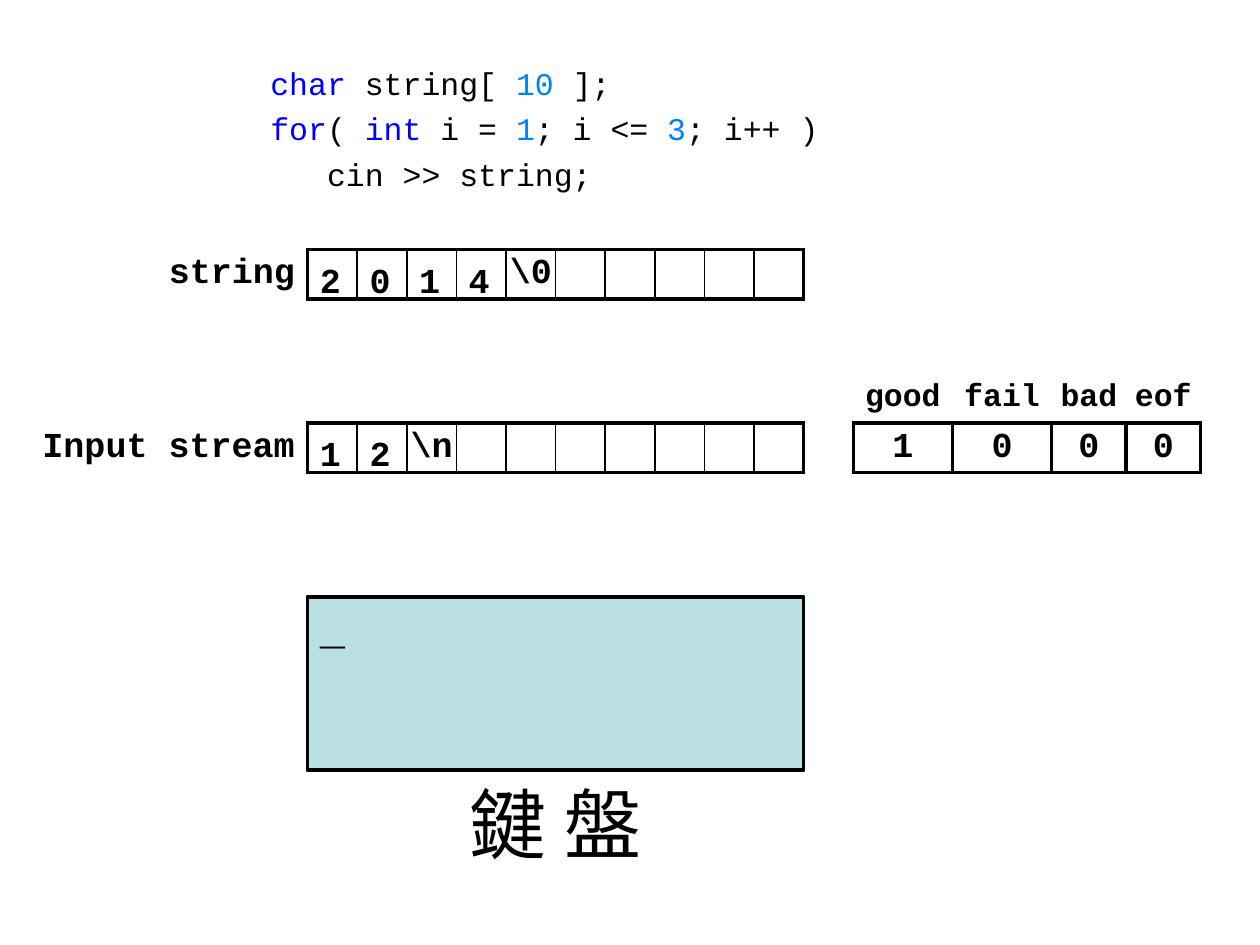
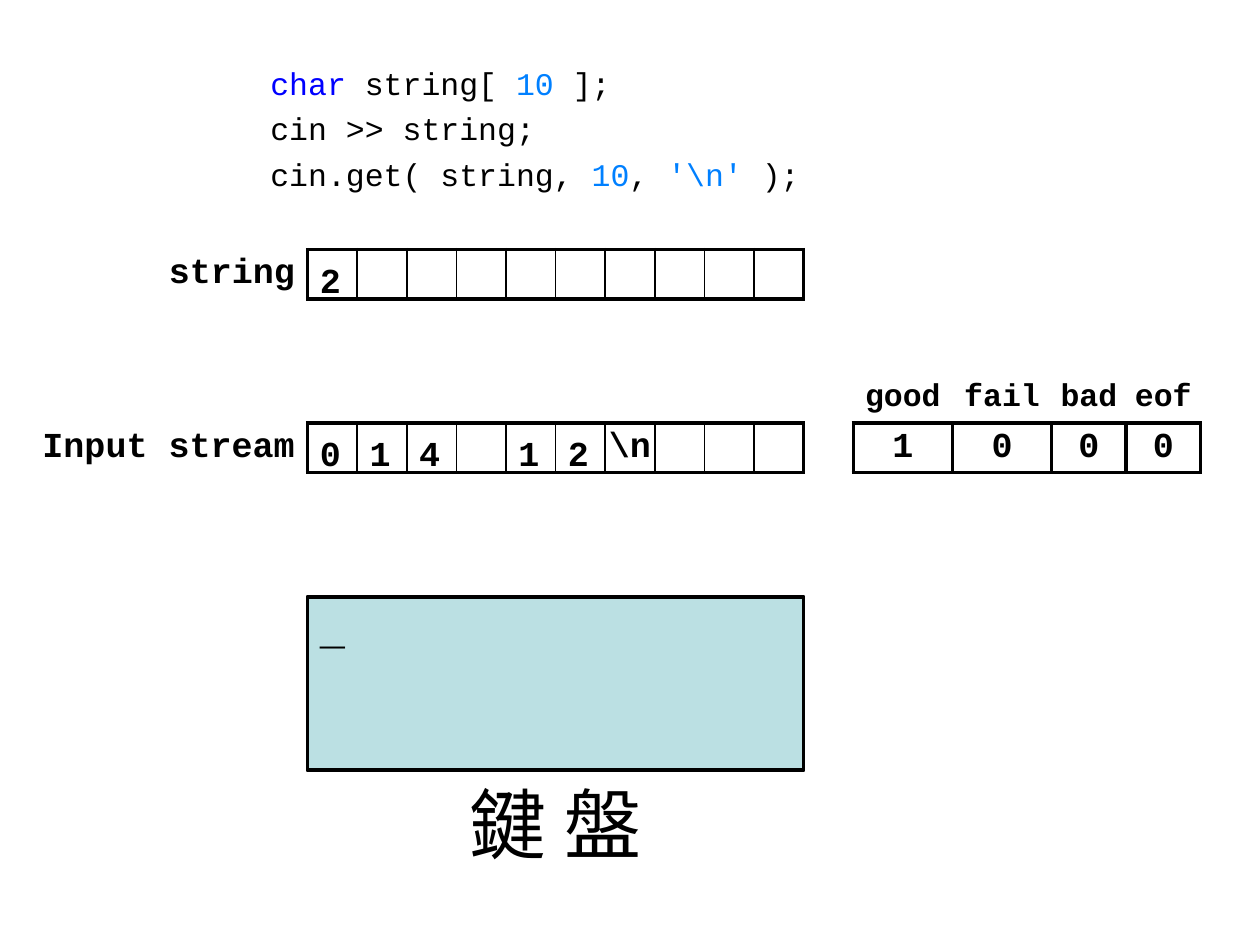
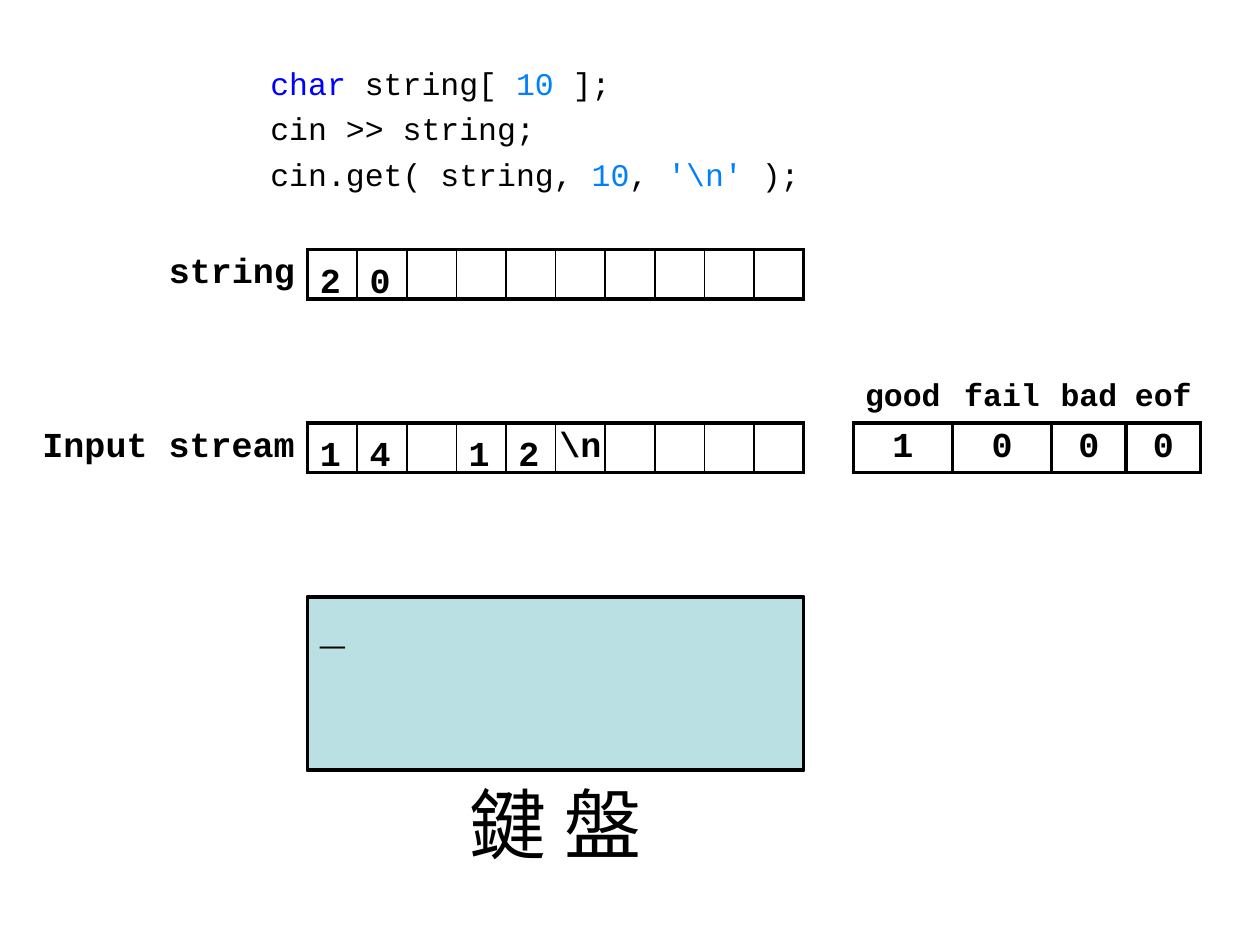
"""Build three slides that trace a string, its input stream and the keyboard."""
from lxml import etree
from pptx import Presentation, util as u
from pptx.dml.color import RGBColor
from pptx.enum import shapes, text
from pptx.oxml.ns import qn

COLORS = {"ink": "000000", "keyword": "0000FF", "literal": "0080FF", "screen": "BBE0E3"}
MONO, CJK = "Courier New", "Noto Sans CJK SC"
THICK, THIN = 2.25, 1
LEFT, TOP = 6.2, 0.03
SLOTS = 10
NO_STYLE = "{2D5ABB26-0587-4C30-8999-92F81FD0307C}"
FLAGS = {"good": ("1", 2), "fail": ("0", 2), "bad": ("0", 1.5), "eof": ("0", 1.5)}
LEFT_ALIGN, CENTER, RIGHT = text.PP_ALIGN.LEFT, text.PP_ALIGN.CENTER, text.PP_ALIGN.RIGHT
ANCHOR_TOP, MIDDLE = text.MSO_ANCHOR.TOP, text.MSO_ANCHOR.MIDDLE

DECLARE = [("char", "keyword"), (" string[ ", "ink"), ("10", "literal"), (" ];", "ink")]
LOOP = [
    DECLARE,
    [("for", "keyword"), ("( ", "ink"), ("int", "keyword"), (" i = ", "ink"), ("1", "literal"),
     ("; i <= ", "ink"), ("3", "literal"), ("; i++ )", "ink")],
    [("   cin >> string;", "ink")],
]
GET = [
    DECLARE,
    [("cin >> string;", "ink")],
    [("cin.get( string, ", "ink"), ("10", "literal"), (", ", "ink"), ("'\\n'", "literal"),
     (" );", "ink")],
]
STEPS = [
    (LOOP, ["2", "0", "1", "4", "\\0"], ["1", "2", "\\n"]),
    (GET, ["2"], ["0", "1", "4", "", "1", "2", "\\n"]),
    (GET, ["2", "0"], ["1", "4", "", "1", "2", "\\n"]),
]


def grid(col, row, cols, rows):
    """Turn grid columns and rows into left, top, width and height."""
    return u.Cm(LEFT + col), u.Cm(TOP + row), u.Cm(cols), u.Cm(rows)


def rgb(name):
    """Look up a named colour."""
    return RGBColor.from_string(COLORS[name])


def write(tf, lines, size=20, bold=True, font=MONO, align=LEFT_ALIGN, before=0):
    """Write a string, or lines of (text, colour) runs, into a text frame."""
    if isinstance(lines, str):
        lines = [[(lines, "ink")]]
    for i, line in enumerate(lines):
        p = tf.add_paragraph() if i else tf.paragraphs[0]
        p.alignment = align
        p.space_before = u.Pt(before if i else 0)
        for words, color in line:
            r = p.add_run()
            r.text = words
            r.font.size, r.font.bold, r.font.name = u.Pt(size), bold, font
            r.font.color.rgb = rgb(color)
            etree.SubElement(r.font._element, qn("a:ea"), typeface=font)


def set_insets(target, left=0.1, top=0.05, right=0.1, bottom=0.05):
    """Set the inner margins of a text frame or table cell."""
    target.margin_left, target.margin_top = u.Inches(left), u.Inches(top)
    target.margin_right, target.margin_bottom = u.Inches(right), u.Inches(bottom)


def add_text(s, place, lines, insets=(0.1, 0.05, 0.1, 0.05), anchor=ANCHOR_TOP, **style):
    """Add a wrapped text box."""
    tf = s.shapes.add_textbox(*place).text_frame
    tf.word_wrap, tf.vertical_anchor = True, anchor
    set_insets(tf, *insets)
    write(tf, lines, **style)


def add_table(s, col, row, widths, rows):
    """Add a plain table of one-unit rows with empty, unfilled cells."""
    frame = s.shapes.add_table(rows, len(widths), *grid(col, row, sum(widths), rows))
    table = frame.table
    table.first_row = table.horz_banding = False
    table._tbl.tblPr.find(qn("a:tableStyleId")).text = NO_STYLE
    for column, width in zip(table.columns, widths):
        column.width = u.Cm(width)
    for cell in table.iter_cells():
        cell.fill.background()
        cell.vertical_anchor = MIDDLE
        set_insets(cell, 0, 0, 0, 0)
    return table


def set_borders(cell, **widths):
    """Draw the given cell sides (L, R, T, B) at the given widths."""
    pr = cell._tc.get_or_add_tcPr()
    for i, side in enumerate("LRTB"):
        ln = etree.Element(qn(f"a:ln{side}"), w=str(u.Pt(widths[side])))
        fill = etree.SubElement(ln, qn("a:solidFill"))
        etree.SubElement(fill, qn("a:srgbClr"), val=COLORS["ink"])
        pr.insert(i, ln)


def frame_cells(table, row, first, count, inner):
    """Put a thick frame round a run of cells, with dividers of width inner."""
    for i in range(count):
        set_borders(table.cell(row, first + i), T=THICK, B=THICK,
                    L=inner if i else THICK, R=inner if i < count - 1 else THICK)


def fill_buffer(s, table, table_row, row, name, values):
    """Label a buffer, write escapes in its cells and lay characters over them."""
    label = table.cell(table_row, 0)
    label.margin_right = u.Inches(0.1)
    write(label.text_frame, name, align=RIGHT)
    frame_cells(table, table_row, 1, SLOTS, THIN)
    for i, value in enumerate(values):
        if value.startswith("\\"):
            write(table.cell(table_row, i + 1).text_frame, value, align=CENTER)
        elif value:
            add_text(s, grid(i, row, 1, 1), value, (0.1, 0.08, 0.1, 0), MIDDLE)


def add_stream(s, values):
    """Add the input stream with its state flags."""
    flag_widths = [width for _, width in FLAGS.values()]
    table = add_table(s, -5.5, 7.5, [5.5] + [1] * (SLOTS + 1) + flag_widths, 2)
    first = SLOTS + 2
    for i, (name, (state, _)) in enumerate(FLAGS.items(), first):
        write(table.cell(0, i).text_frame, name, size=18, align=CENTER)
        write(table.cell(1, i).text_frame, state, align=CENTER)
    frame_cells(table, 1, first, len(FLAGS), THICK)
    fill_buffer(s, table, 1, 8.5, "Input stream", values)


def add_string(s, values):
    """Add the string array."""
    table = add_table(s, -3, 5, [3] + [1] * SLOTS, 1)
    fill_buffer(s, table, 0, 5, "string", values)


def add_keyboard(s):
    """Add the keyboard screen with its cursor and caption."""
    add_text(s, grid(2.5, 15.5, 5, 2.5), "鍵 盤", size=44, bold=False, font=CJK, align=CENTER)
    sp = s.shapes.add_shape(shapes.MSO_SHAPE.RECTANGLE, *grid(0, 12, SLOTS, 3.5))
    sp.shadow.inherit = False
    sp.fill.solid()
    sp.fill.fore_color.rgb = rgb("screen")
    sp.line.color.rgb, sp.line.width = rgb("ink"), u.Pt(THICK)
    sp.text_frame.vertical_anchor = ANCHOR_TOP
    write(sp.text_frame, "_", size=24)


def main():
    """Build and save the deck."""
    prs = Presentation()
    prs.slide_width, prs.slide_height = u.Inches(10), u.Inches(7.5)
    for code, string, stream in STEPS:
        s = prs.slides.add_slide(prs.slide_layouts[6])
        add_keyboard(s)
        add_text(s, grid(-1, 1, 11.5, 3), code, (0.1, 0.1, 0.04, 0.05),
                 size=18, bold=False, before=4.5)
        add_stream(s, stream)
        add_string(s, string)
    prs.save("out.pptx")


if __name__ == "__main__":
    main()
